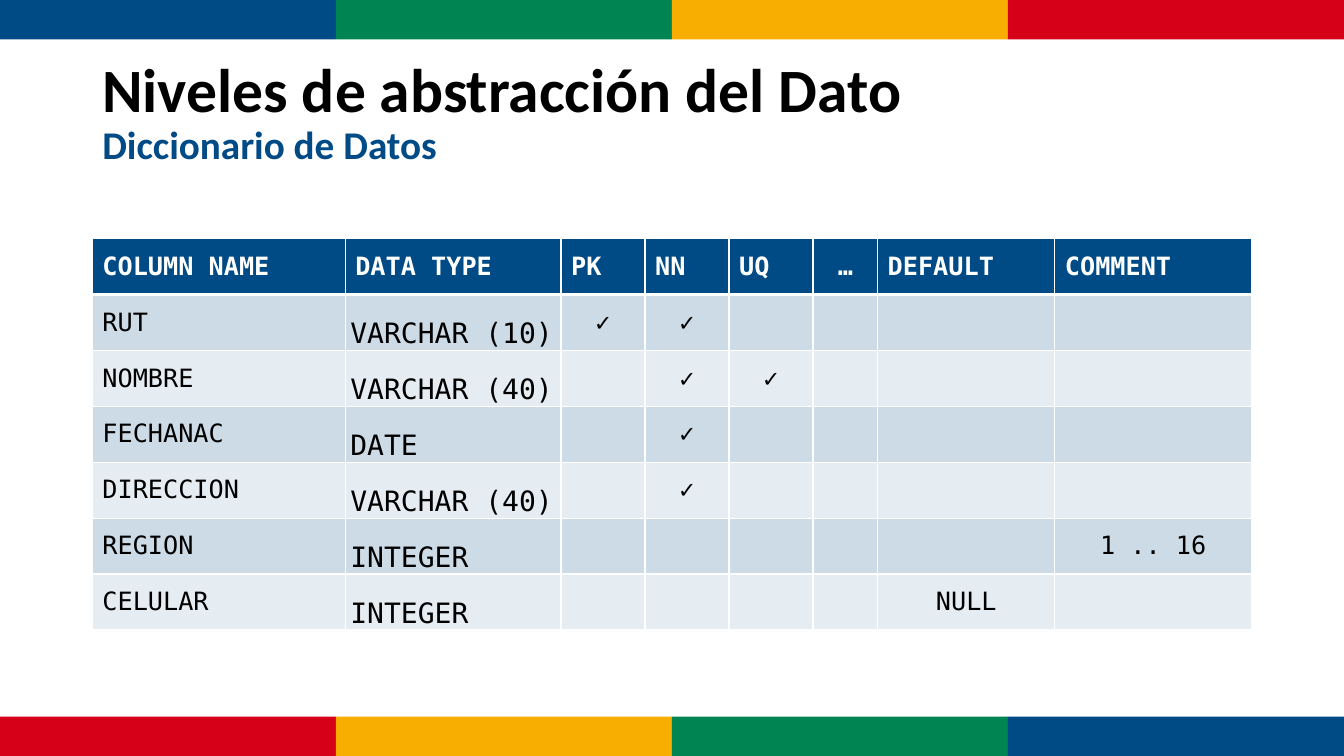
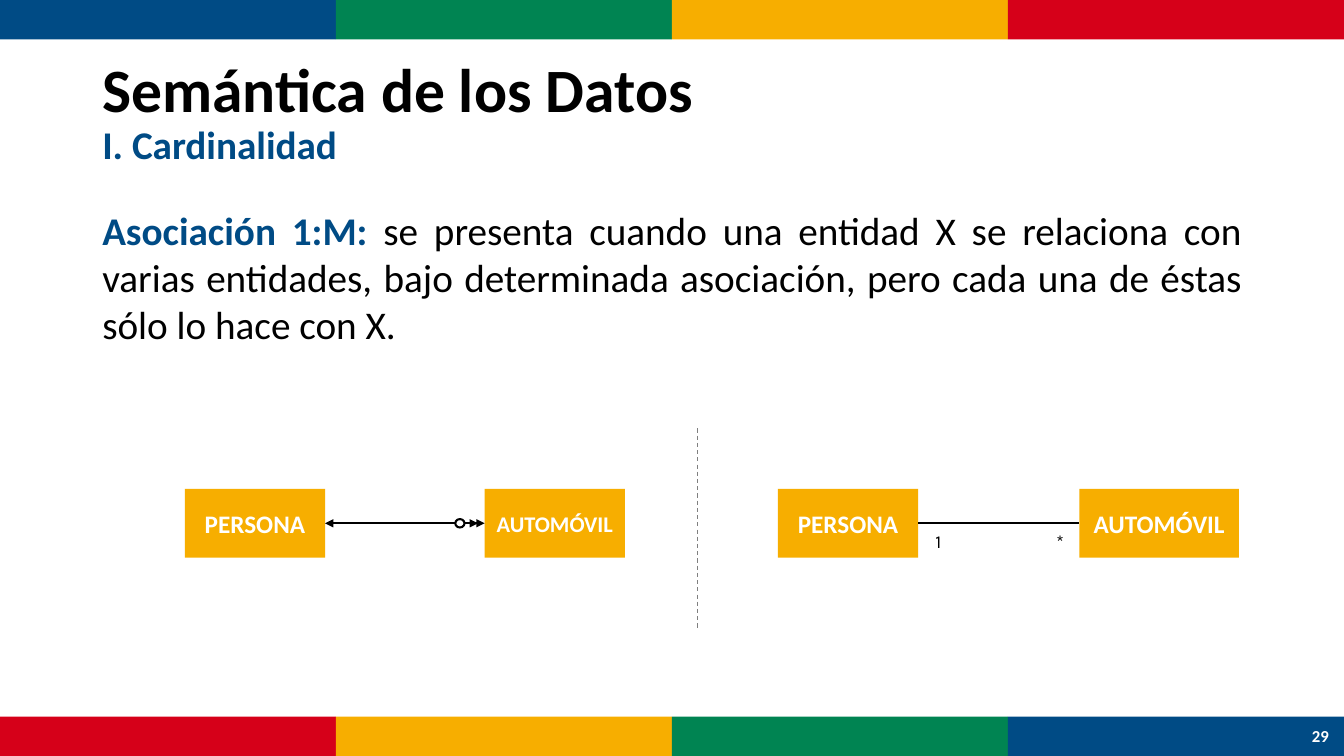
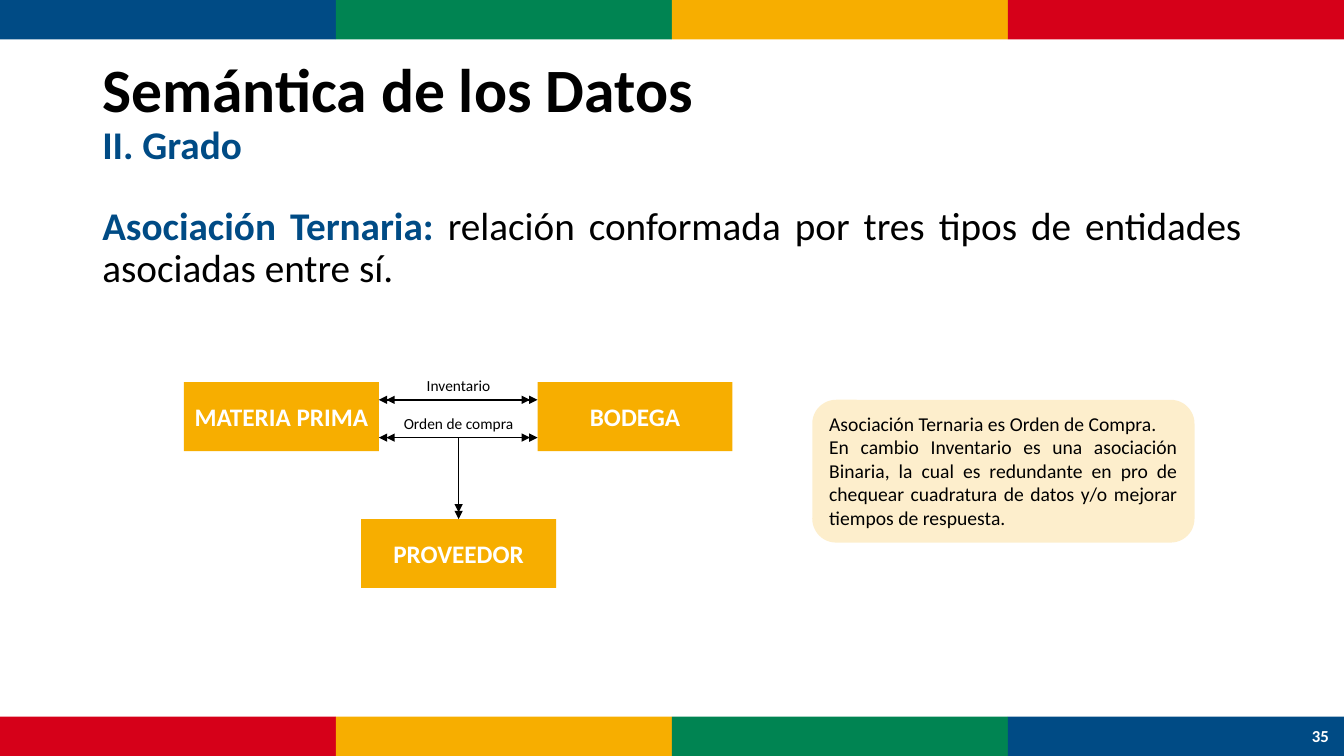
"""Build three slides on data dictionaries and data semantics."""
from dataclasses import dataclass, replace
from typing import Optional

from lxml import etree
from pptx import Presentation
from pptx.dml.color import RGBColor
from pptx.enum.dml import MSO_LINE
from pptx.enum.shapes import MSO_CONNECTOR, MSO_SHAPE
from pptx.enum.text import MSO_ANCHOR, PP_ALIGN
from pptx.oxml.ns import qn
from pptx.util import Inches, Pt

RECT, ROUND, OVAL = MSO_SHAPE.RECTANGLE, MSO_SHAPE.ROUNDED_RECTANGLE, MSO_SHAPE.OVAL
STRAIGHT, DASH = MSO_CONNECTOR.STRAIGHT, MSO_LINE.DASH
LEFT, CENTER, JUSTIFY = PP_ALIGN.LEFT, PP_ALIGN.CENTER, PP_ALIGN.JUSTIFY
TOP, MIDDLE, BOTTOM = MSO_ANCHOR.TOP, MSO_ANCHOR.MIDDLE, MSO_ANCHOR.BOTTOM
UP_SIDE, LEFT_SIDE, RIGHT_SIDE = 0, 1, 3

WIDE, HIGH = Inches(13.333), Inches(7.5)
COLS, ROWS = 160, 90
BAND = 4.7
MARGIN, SPAN = 11, 138
COLORS = {
    "blue": "004B85", "green": "008452", "gold": "F7AE00", "red": "D60019",
    "black": "000000", "white": "FFFFFF", "gray": "7F7F7F",
}
BANDS = ("blue", "green", "gold", "red")


@dataclass(frozen=True)
class Box:
    """A place on the slide, in grid columns and rows."""
    x: float
    y: float
    w: float
    h: float


@dataclass(frozen=True)
class Look:
    """The format of a piece of text."""
    size: float
    color: str = "black"
    bold: bool = False
    align: PP_ALIGN = LEFT
    font: str = "Calibri"
    lead: Optional[float] = None


@dataclass(frozen=True)
class Line:
    """A straight line between two grid points."""
    x: float
    y: float
    to_x: float
    to_y: float
    width: float = 1.25
    color: str = "black"
    head: bool = False
    tail: bool = False
    dash: bool = False


TITLE = Look(44, bold=True, lead=0.9)
SUB = Look(28, "blue", True)
BODY = Look(28, align=JUSTIFY)
NUMBER = Look(12, "white", True, CENTER)
ENTITY = Look(18, "white", True, CENTER)
LABEL = Look(11, align=CENTER)
MARK = Look(13, align=CENTER, font="Karla")
NOTE = Look(14, align=JUSTIFY)
CELL = Look(18, font="DejaVu Sans Mono")
HEAD = replace(CELL, color="white", bold=True)
KIND = replace(CELL, size=20, lead=1.07)

FIELDS = ("COLUMN NAME", "DATA TYPE", "PK", "NN", "UQ", "…", "DEFAULT", "COMMENT")
WIDTHS = (30.1, 25.7, 10, 10, 10, 7.7, 21.1, 23.4)
DATA = (
    FIELDS,
    ("RUT", "VARCHAR (10)", "✓", "✓", "", "", "", ""),
    ("NOMBRE", "VARCHAR (40)", "", "✓", "✓", "", "", ""),
    ("FECHANAC", "DATE", "", "✓", "", "", "", ""),
    ("DIRECCION", "VARCHAR (40)", "", "✓", "", "", "", ""),
    ("REGION", "INTEGER", "", "", "", "", "", "1 .. 16"),
    ("CELULAR", "INTEGER", "", "", "", "", "NULL", ""),
)


def across(cols: float) -> int:
    """Turn grid columns into a length."""
    return round(WIDE * cols / COLS)


def down(rows: float) -> int:
    """Turn grid rows into a length."""
    return round(HIGH * rows / ROWS)


def place(box: Box) -> tuple[int, int, int, int]:
    """Turn a box into left, top, width and height."""
    return across(box.x), down(box.y), across(box.w), down(box.h)


def tint(name: str) -> RGBColor:
    """Look up a colour."""
    return RGBColor.from_string(COLORS[name])


def style(run, look: Look) -> None:
    """Format one run."""
    run.font.name = look.font
    run.font.size = Pt(look.size)
    run.font.bold = look.bold
    run.font.color.rgb = tint(look.color)


def write(frame, text: str, look: Look) -> None:
    """Set the text of a frame and format it."""
    frame.text = text
    for par in frame.paragraphs:
        par.alignment = look.align
        if look.lead:
            par.line_spacing = look.lead
        for run in par.runs:
            style(run, look)


def fade(props, share: int) -> None:
    """Make a solid fill partly opaque, in percent."""
    color = props.find(qn("a:solidFill"))[0]
    etree.SubElement(color, qn("a:alpha"), val=str(share * 1000))


def shape(slide, kind: MSO_SHAPE, box: Box, color: str):
    """Add a flat shape without outline."""
    item = slide.shapes.add_shape(kind, *place(box))
    item.shadow.inherit = False
    item.fill.solid()
    item.fill.fore_color.rgb = tint(color)
    item.line.fill.background()
    return item


def words(slide, box: Box, text: str, look: Look, anchor: MSO_ANCHOR = TOP,
          wrap: bool = True, inset: bool = True):
    """Add a text box and return its frame."""
    frame = slide.shapes.add_textbox(*place(box)).text_frame
    frame.word_wrap = wrap
    frame.vertical_anchor = anchor
    if not inset:
        frame.margin_left = frame.margin_right = 0
        frame.margin_top = frame.margin_bottom = 0
    write(frame, text, look)
    return frame


def entity(slide, box: Box, text: str, look: Look = ENTITY):
    """Add a named entity box."""
    item = shape(slide, RECT, box, "gold")
    item.text_frame.word_wrap = True
    item.text_frame.vertical_anchor = MIDDLE
    write(item.text_frame, text, look)
    return item


def draw(slide, line: Line):
    """Add a straight connector."""
    item = slide.shapes.add_connector(
        STRAIGHT, across(line.x), down(line.y), across(line.to_x), down(line.to_y))
    item.line.width = Pt(line.width)
    item.line.color.rgb = tint(line.color)
    if line.dash:
        item.line.dash_style = DASH
    props = item._element.spPr
    stroke = props.find(qn("a:ln"))
    for tag, shown in (("a:headEnd", line.head), ("a:tailEnd", line.tail)):
        if shown:
            etree.SubElement(stroke, qn(tag), type="triangle")
    etree.SubElement(props, qn("a:effectLst"))
    return item


def start(deck, title: str, sub: str, number: str = ""):
    """Add a slide with bands, title and page number."""
    slide = deck.slides.add_slide(deck.slide_layouts[6])
    step = COLS / len(BANDS)
    for y, names in ((0, BANDS), (ROWS - BAND, BANDS[::-1])):
        for i, name in enumerate(names):
            shape(slide, RECT, Box(i * step, y, step, BAND), name)
    frame = words(slide, Box(MARGIN, 4.8, SPAN, 17.4), f"{title}\v{sub}", TITLE, MIDDLE)
    style(frame.paragraphs[0].runs[1], SUB)
    if number:
        words(slide, Box(154.4, ROWS - BAND, 5.6, BAND), number, NUMBER, MIDDLE)
    return slide


def define(slide, term: str, text: str, lead: Optional[float] = None) -> None:
    """Add a term with its meaning."""
    frame = words(slide, Box(MARGIN, 24, SPAN, 57.1), term, replace(BODY, lead=lead))
    par = frame.paragraphs[0]
    style(par.runs[0], SUB)
    run = par.add_run()
    run.text = text
    style(run, BODY)


def edge(cell, heavy: bool) -> None:
    """Give a cell white borders, with a thick one below a heading."""
    props = cell._tc.get_or_add_tcPr()
    for side in "LRTB":
        width = Pt(3 if heavy and side == "B" else 1)
        line = etree.SubElement(props, qn(f"a:ln{side}"), w=str(width))
        fill = etree.SubElement(line, qn("a:solidFill"))
        etree.SubElement(fill, qn("a:srgbClr"), val=COLORS["white"])


def choose(row: int, col: int, text: str) -> Look:
    """Pick the look of a table cell."""
    if row == 0:
        return replace(HEAD, align=CENTER if text == "…" else LEFT)
    if col == 1:
        return KIND
    return replace(CELL, bold=text == "✓", align=CENTER if col > 1 else LEFT)


def grid(slide, box: Box) -> None:
    """Add the data dictionary table."""
    table = slide.shapes.add_table(len(DATA), len(FIELDS), *place(box)).table
    table.horz_banding = False
    for col, width in zip(table.columns, WIDTHS):
        col.width = across(width)
    for r, record in enumerate(DATA):
        table.rows[r].height = down(box.h / len(DATA))
        for c, text in enumerate(record):
            cell = table.cell(r, c)
            edge(cell, r == 0)
            cell.fill.solid()
            cell.fill.fore_color.rgb = tint("blue")
            cell.vertical_anchor = MIDDLE
            if r:
                fade(cell._tc.tcPr, 20 if r % 2 else 10)
                if c == 1:
                    cell.vertical_anchor = BOTTOM
                    cell.margin_left = cell.margin_right = Inches(0.05)
                    cell.margin_top = cell.margin_bottom = 0
            write(cell.text_frame, text, choose(r, c, text))


def link(slide, line: Line, first, last) -> None:
    """Join two entities from side to side."""
    item = draw(slide, line)
    item.begin_connect(first, RIGHT_SIDE)
    item.end_connect(last, LEFT_SIDE)


def lexicon(deck) -> None:
    """Build the data dictionary slide."""
    slide = start(deck, "Niveles de abstracción del Dato", "Diccionario de Datos")
    grid(slide, Box(MARGIN, 28.4, SPAN, 46.6))


def many(deck) -> None:
    """Build the cardinality slide."""
    slide = start(deck, "Semántica de los Datos", "I. Cardinalidad", "29")
    define(slide, "Asociación 1:M: ",
           "se presenta cuando una entidad X se relaciona con varias entidades, bajo "
           "determinada asociación, pero cada una de éstas sólo lo hace con X.")
    draw(slide, Line(83, 51, 83, 74.9, 0.75, "gray", dash=True))
    y, w, h = 58.2, 16.7, 8.2
    mid = y + h / 2

    owner = entity(slide, Box(92.6, y, w, h), "PERSONA")
    car = entity(slide, Box(128.5, y, 19, h), "AUTOMÓVIL")
    link(slide, Line(92.6 + w, mid, 128.5, mid), owner, car)
    for x, text in ((125, "*"), (110.5, "1")):
        words(slide, Box(x, 63.1, 2.4, 2.6), text, MARK, MIDDLE, inset=False)

    owner = entity(slide, Box(22, y, w, h), "PERSONA")
    car = entity(slide, Box(57.7, y, w, h), "AUTOMÓVIL", replace(ENTITY, size=16))
    link(slide, Line(22 + w, mid, 57.7, mid, head=True, tail=True), owner, car)
    draw(slide, Line(52.6, mid, 56.9, mid, 0.5, tail=True))
    ring = shape(slide, OVAL, Box(54.2, mid - 0.5, 1.1, 1), "white")
    ring.line.color.rgb = tint("black")
    ring.line.width = Pt(1.5)


def three(deck) -> None:
    """Build the degree slide."""
    slide = start(deck, "Semántica de los Datos", "II. Grado", "35")
    define(slide, "Asociación Ternaria: ",
           "relación conformada por tres tipos de entidades asociadas entre sí.", 0.9)
    w, h = 23.2, 8.2
    left, right, mid = 45.1, 64, 54.6
    entity(slide, Box(left - w, 45.5, w, h), "MATERIA PRIMA")
    entity(slide, Box(right, 45.5, w, h), "BODEGA")
    vendor = entity(slide, Box(mid - w / 2, 61.8, w, h), "PROVEEDOR")
    for y, text in ((47.6, "Inventario"), (52.1, "Orden de compra")):
        draw(slide, Line(left, y, right, y, head=True, tail=True))
        draw(slide, Line(right - 5.3, y, right - 0.9, y, 0.5, tail=True))
        draw(slide, Line(left + 5.3, y, left + 0.9, y, 0.5, tail=True))
        words(slide, Box(mid - 7.8, y - 3.4, 15.6, 3.5), text, LABEL, wrap=False)
    stem = draw(slide, Line(mid, 52.1, mid, 61.8, 1, tail=True))
    stem.end_connect(vendor, UP_SIDE)
    draw(slide, Line(mid, 52.1, mid, 61, 1, tail=True))

    note = shape(slide, ROUND, Box(96.7, 47.6, 45.5, 17), "gold")
    fade(note._element.spPr, 20)
    note.text_frame.word_wrap = True
    note.text_frame.vertical_anchor = TOP
    write(note.text_frame,
          "Asociación Ternaria es Orden de Compra.\n"
          "En cambio Inventario es una asociación Binaria, la cual es redundante en pro "
          "de chequear cuadratura de datos y/o mejorar tiempos de respuesta.", NOTE)


def main() -> None:
    """Build and save the deck."""
    deck = Presentation()
    deck.slide_width, deck.slide_height = WIDE, HIGH
    for build in (lexicon, many, three):
        build(deck)
    deck.save("out.pptx")


if __name__ == "__main__":
    main()
